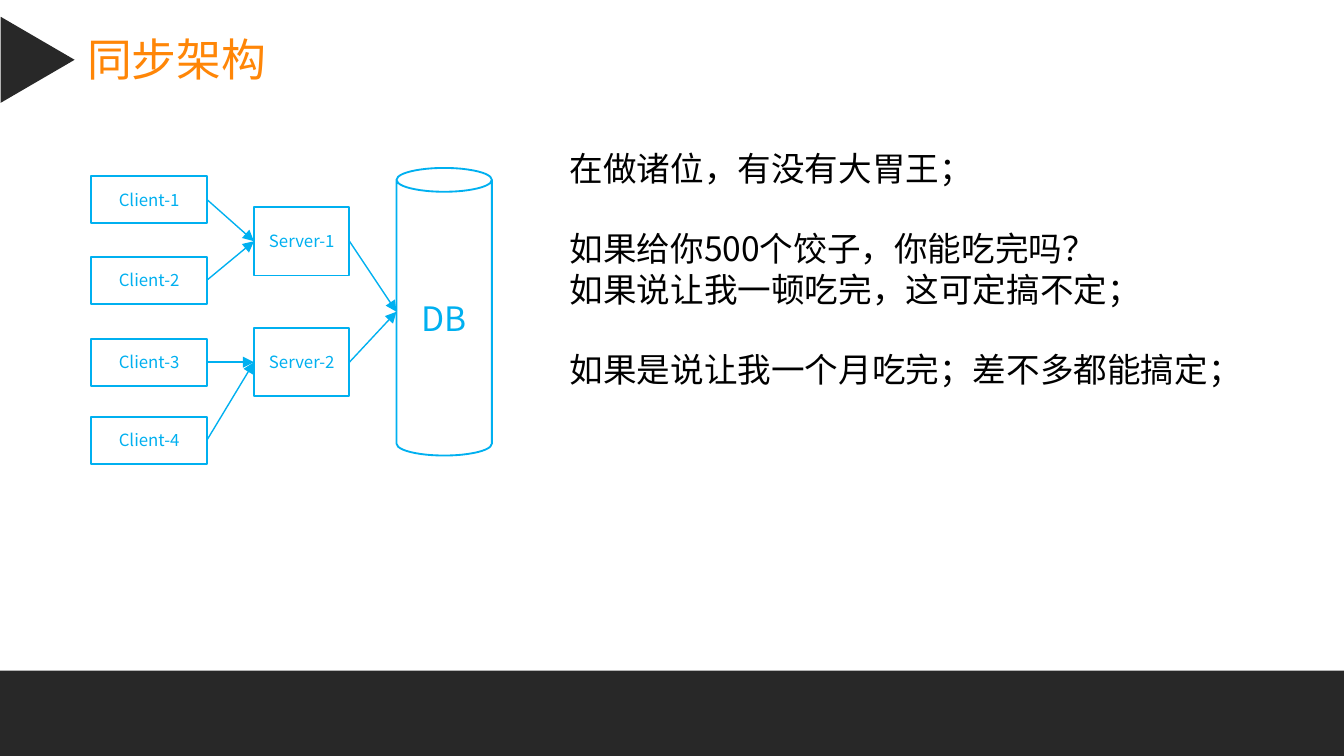
from pptx import Presentation
from pptx.dml.color import RGBColor
from pptx.enum.shapes import MSO_CONNECTOR as Connector, MSO_SHAPE as Shape
from pptx.enum.text import MSO_ANCHOR as Anchor, MSO_AUTO_SIZE as AutoSize, PP_ALIGN as Align
from pptx.oxml.ns import qn
from pptx.util import Inches, Pt
from lxml.etree import SubElement

CELL = 0.1
COLUMNS, ROWS = 100, 56.25


def grid(*cells):
    return [Inches(cell * CELL) for cell in cells]


def color(value):
    return RGBColor.from_string(value)


def write(paragraph, text, font, size, fill, align=Align.LEFT, before=0, leading=None):
    paragraph.alignment = align
    paragraph.space_before = Pt(before)
    if leading:
        paragraph.line_spacing = Pt(leading)
    run = paragraph.add_run()
    run.text = text
    run.font.name = font
    run.font.size = Pt(size)
    run.font.color.rgb = color(fill)
    SubElement(run.font._element, qn("a:ea")).set("typeface", font)


class SlideBuilder:
    dark, accent, blue = "282828", "FF8607", "00B0F0"
    title_font, body_font = "Arial Narrow", "Noto Sans CJK SC"

    def __init__(self, slide):
        self.slide = slide

    def block(self, kind, box, fill=None, line=None, rotation=0):
        shape = self.slide.shapes.add_shape(kind, *grid(*box))
        shape.shadow.inherit = False
        shape.rotation = rotation
        if fill:
            shape.fill.solid()
            shape.fill.fore_color.rgb = color(fill)
        else:
            shape.fill.background()
        if line:
            shape.line.color.rgb = color(line)
            shape.line.width = Pt(1)
        else:
            shape.line.fill.background()
        return shape

    def node(self, text, box, kind=Shape.RECTANGLE, fill="FFFFFF", size=9):
        shape = self.block(kind, box, fill, self.blue)
        shape.text_frame.vertical_anchor = Anchor.MIDDLE
        write(shape.text_frame.paragraphs[0], text, self.body_font, size, self.blue, Align.CENTER)
        return shape

    def text(self, lines, box, wrap=True, **style):
        frame = self.slide.shapes.add_textbox(*grid(*box)).text_frame
        frame.word_wrap = wrap
        frame.auto_size = AutoSize.SHAPE_TO_FIT_TEXT
        for index, (line, before) in enumerate(lines):
            paragraph = frame.add_paragraph() if index else frame.paragraphs[0]
            write(paragraph, line, before=before, **style)

    def arrow(self, source, target):
        connector = self.slide.shapes.add_connector(
            Connector.STRAIGHT,
            source.left + source.width, source.top + source.height // 2,
            target.left, target.top + target.height // 2)
        connector.line.color.rgb = color(self.blue)
        connector.line.width = Pt(0.75)
        SubElement(connector.line._get_or_add_ln(), qn("a:tailEnd")).set("type", "triangle")
        SubElement(connector._element.spPr, qn("a:effectLst"))


presentation = Presentation()
presentation.slide_width, presentation.slide_height = grid(COLUMNS, ROWS)
builder = SlideBuilder(presentation.slides.add_slide(presentation.slide_layouts[6]))

builder.block(Shape.RECTANGLE, (0, 49.9, COLUMNS, ROWS - 49.9), builder.dark)
builder.text([("同步架构", 0)], (5.5, 1.9, 15.5, 5), wrap=False,
             font=builder.title_font, size=24, fill=builder.accent)
builder.block(Shape.ISOSCELES_TRIANGLE, (-0.4, 1.7, 6.4, 5.5), builder.dark, rotation=90)

clients = [builder.node(f"Client-{number}", (6.8, top, 8.6, 3.5))
           for number, top in enumerate((13.1, 19.1, 25.2, 31), 1)]
servers = [builder.node(f"Server-{number}", (18.9, top, 7.1, 5.1))
           for number, top in enumerate((15.4, 24.4), 1)]
database = builder.node("DB", (29.5, 12.5, 7.1, 21.4), Shape.CAN, fill=None, size=18)

for index, client in enumerate(clients):
    builder.arrow(client, servers[index // 2])
for server in servers:
    builder.arrow(server, database)

LEADING = 21.6
builder.text([
    ("在做诸位，有没有大胃王；", 0),
    ("如果给你500个饺子，你能吃完吗？", LEADING),
    ("如果说让我一顿吃完，这可定搞不定；", 0),
    ("如果是说让我一个月吃完；差不多都能搞定；", LEADING),
], (41.4, 10.5, 51.9, 19.2), font=builder.body_font, size=18, fill="000000", leading=LEADING)

presentation.save("out.pptx")
